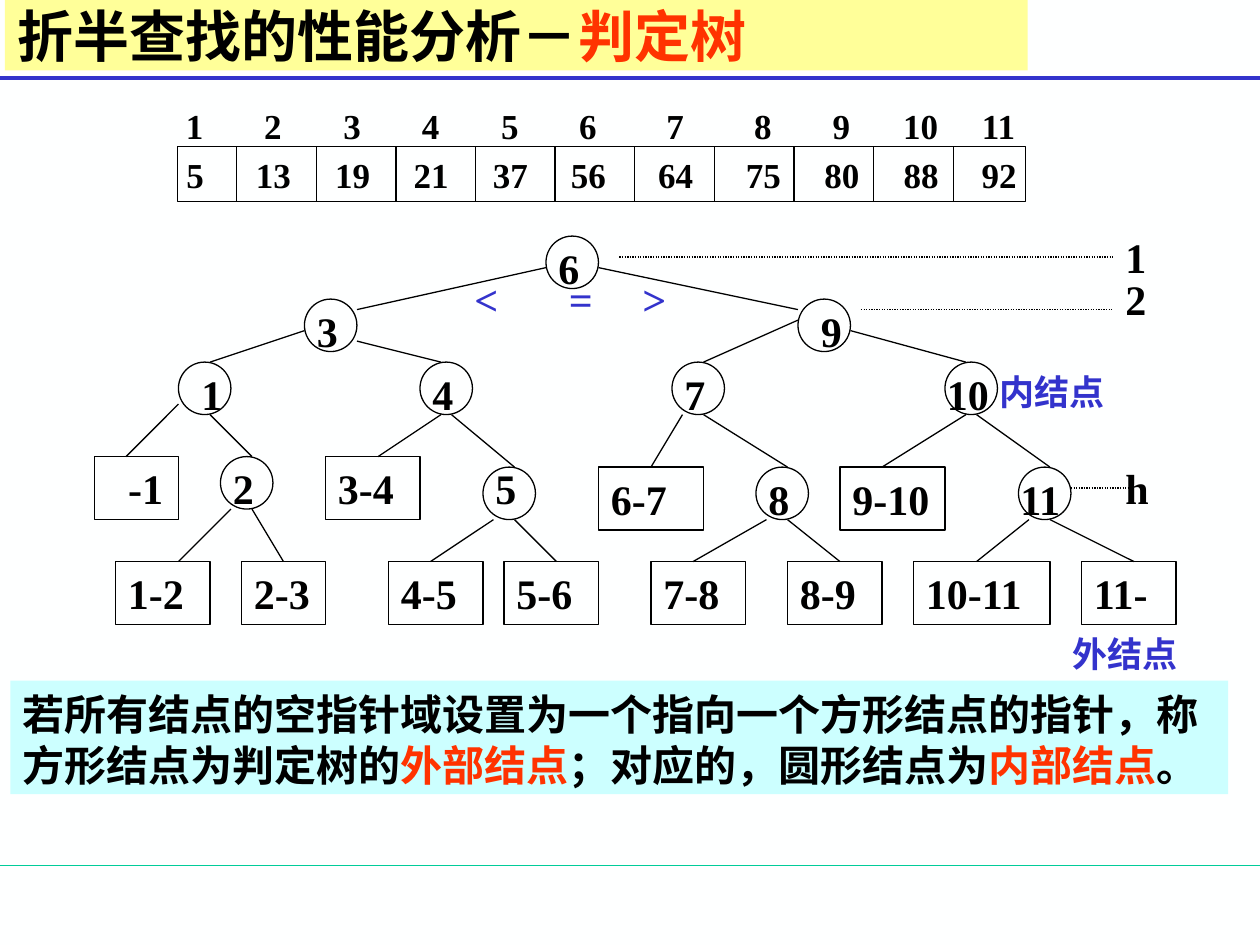
from lxml.etree import SubElement
from pptx import Presentation
from pptx.dml.color import RGBColor
from pptx.enum.dml import MSO_LINE
from pptx.enum.shapes import MSO_CONNECTOR, MSO_SHAPE
from pptx.enum.text import MSO_ANCHOR
from pptx.oxml.ns import qn
from pptx.util import Cm, Pt

BLACK = RGBColor(0x00, 0x00, 0x00)
BLUE = RGBColor(0x33, 0x33, 0xCC)
RED = RGBColor(0xFF, 0x33, 0x00)
GREEN = RGBColor(0x00, 0xCC, 0x99)
YELLOW = RGBColor(0xFF, 0xFF, 0x99)
CYAN = RGBColor(0xCC, 0xFF, 0xFF)
PAPER = RGBColor(0xFE, 0xFF, 0xFF)
SERIF, SANS = "Times New Roman", "Noto Sans CJK SC"

# The tree sits on a grid of twelfths of an inch below TREE_TOP
UNIT = Cm(2.54 / 12)
TREE_TOP = Cm(4.76)

presentation = Presentation()
presentation.slide_width = Cm(25.4)
presentation.slide_height = Cm(19.05)
slide = presentation.slides.add_slide(presentation.slide_layouts[6])
slide.background.fill.solid()
slide.background.fill.fore_color.rgb = PAPER


def add_line(x1, y1, x2, y2, color=BLACK, width=0.75):
    line = slide.shapes.add_connector(MSO_CONNECTOR.STRAIGHT, x1, y1, x2, y2)
    line.line.color.rgb = color
    line.line.width = Pt(width)
    SubElement(line._element.spPr, qn("a:effectLst"))
    return line


def add_box(left, top, width, height, runs=(), size=24, font=SERIF,
            kind=None, fill=None, outline=None, spacing=None):
    """Add a text box, or a preset shape if kind is given; runs are (text, color)."""
    if kind is None:
        shape = slide.shapes.add_textbox(left, top, width, height)
    else:
        shape = slide.shapes.add_shape(kind, left, top, width, height)
        shape.shadow.inherit = False
        if fill is None:
            shape.fill.background()
        else:
            shape.fill.solid()
            shape.fill.fore_color.rgb = fill
        if outline is None:
            shape.line.fill.background()
        else:
            shape.line.color.rgb = outline
            shape.line.width = Pt(0.75)
    frame = shape.text_frame
    frame.word_wrap = True
    frame.vertical_anchor = MSO_ANCHOR.TOP
    paragraph = frame.paragraphs[0]
    paragraph._p.get_or_add_pPr().set("algn", "l")
    if spacing:
        paragraph.line_spacing = Pt(spacing)
    for text, color in runs:
        run = paragraph.add_run()
        run.text = text
        run.font.name = font
        run.font.size = Pt(size)
        run.font.bold = True
        run.font.color.rgb = color
        SubElement(run._r.get_or_add_rPr(), qn("a:ea"), typeface=SANS)
    return shape


# Page rules
add_line(0, Cm(17.45), Cm(25.4), Cm(17.45), GREEN)
add_line(0, Cm(1.57), Cm(25.4), Cm(1.57), BLUE, 2.25)

# Inner nodes: value, circle x, y, label x, y, label width
inner_nodes = [
    ("6", 52, 0, 52, 0, 6), ("3", 29, 6, 29, 6, 6), ("9", 76, 6, 77, 6, 8),
    ("1", 17, 12, 18, 12, 7), ("4", 40, 12, 40, 12, 6), ("7", 64, 12, 64, 12, 6),
    ("10", 90, 12, 89, 12, 8), ("2", 21, 21, 21, 21, 5), ("5", 46, 22, 46, 21, 7),
    ("8", 72, 22, 72, 22, 7), ("11", 97, 22, 96, 22, 7),
]
for value, x, y, label_x, label_y, label_width in inner_nodes:
    add_box(x * UNIT, TREE_TOP + y * UNIT, 5 * UNIT, 5 * UNIT,
            kind=MSO_SHAPE.OVAL, outline=BLACK)
    add_box(label_x * UNIT, TREE_TOP + label_y * UNIT, label_width * UNIT, 6 * UNIT,
            [(value, BLACK)])

# Outer nodes: range, x, y, width
outer_nodes = [
    ("-1", 9, 21, 8), ("3-4", 31, 21, 9), ("6-7", 57, 22, 10), ("9-10", 80, 22, 10),
    ("1-2", 11, 31, 9), ("2-3", 23, 31, 8), ("4-5", 37, 31, 9), ("5-6", 48, 31, 9),
    ("7-8", 62, 31, 9), ("8-9", 75, 31, 9), ("10-11", 87, 31, 13), ("11-", 103, 31, 9),
]
for text, x, y, width in outer_nodes:
    outer_node = add_box(x * UNIT, TREE_TOP + y * UNIT, width * UNIT, 6 * UNIT,
                         [(text, BLACK)], kind=MSO_SHAPE.RECTANGLE, outline=BLACK)
    if text == "-1":
        outer_node.text_frame.margin_left = Cm(0.68)

# Tree edges
edges = [
    (52, 3, 34, 7), (57, 3, 76, 7),
    (29, 9, 20, 12), (34, 10, 42, 12), (76, 8, 67, 12), (81, 9, 92, 12),
    (17, 16, 12, 21), (20, 17, 24, 21), (42, 17, 36, 21), (43, 17, 49, 22),
    (65, 17, 62, 22), (67, 17, 75, 22), (92, 17, 84, 22), (93, 17, 100, 22),
    (22, 26, 17, 31), (24, 26, 27, 31), (47, 27, 41, 31), (49, 27, 53, 31),
    (73, 27, 66, 31), (75, 27, 80, 31), (98, 27, 93, 31), (100, 27, 108, 31),
]
for x1, y1, x2, y2 in edges:
    add_line(x1 * UNIT, TREE_TOP + y1 * UNIT, x2 * UNIT, TREE_TOP + y2 * UNIT)

# Dotted level guides
for x1, x2, y in [(59, 106, 2), (82, 106, 7), (102, 108, 24)]:
    guide = add_line(x1 * UNIT, TREE_TOP + y * UNIT, x2 * UNIT, TREE_TOP + y * UNIT)
    guide.line.dash_style = MSO_LINE.ROUND_DOT

# Level numbers and comparison signs
signs = [
    ("1", 106, -1, 6, BLACK), ("2", 106, 3, 7, BLACK), ("h", 106, 21, 6, BLACK),
    (">", 60, 3, 9, BLUE), ("<", 44, 3, 6, BLUE), ("=", 53, 3, 7, BLUE),
]
for text, x, y, width, color in signs:
    add_box(x * UNIT, TREE_TOP + y * UNIT, width * UNIT, 6 * UNIT, [(text, color)])

# Names of the node kinds
for text, x, y in [("外结点", 101, 37), ("内结点", 94, 12)]:
    add_box(x * UNIT, TREE_TOP + y * UNIT, 13 * UNIT, Cm(1.12),
            [(text, BLUE)], size=20, spacing=25)

# Title
title = add_box(Cm(0.1), 0, Cm(20.62), Cm(1.42),
                [("折半查找的性能分析－", BLACK), ("判定树", RED)],
                size=32, font=SANS, kind=MSO_SHAPE.RECTANGLE, fill=YELLOW)
title.text_frame.vertical_anchor = MSO_ANCHOR.MIDDLE

# Sorted array: indexes above, values in the frame, both on the same centred tabs
indexes = [str(number) for number in range(1, 12)]
values = ["5", "13", "19", "21", "37", "56", "64", "75", "80", "88", "92"]
index_row = add_box(Cm(3.5), Cm(1.98), Cm(17.3), Cm(1.12),
                    [("\t".join(indexes), BLACK)], size=20)
value_row = add_box(Cm(3.58), Cm(2.95), Cm(17.1), Cm(1.12),
                    [("\t".join(values), BLACK)], size=20,
                    kind=MSO_SHAPE.RECTANGLE, outline=BLACK)
value_row.text_frame.vertical_anchor = MSO_ANCHOR.MIDDLE
value_row.text_frame.margin_left = Cm(0.18)
tab_stops = [1.75, 3.35, 4.93, 6.53, 8.1, 9.86, 11.63, 13.21, 14.81, 16.38]
for row in (index_row, value_row):
    row.text_frame.margin_right = 0
    properties = row.text_frame.paragraphs[0]._p.get_or_add_pPr()
    tab_list = SubElement(properties, qn("a:tabLst"))
    for stop in tab_stops:
        SubElement(tab_list, qn("a:tab"), pos=str(Cm(stop)), algn="ctr")
for column in range(10):
    x = Cm(4.77 + 1.605 * column)
    add_line(x, Cm(2.95), x, Cm(4.07))

# Explanation
add_box(Cm(0.21), Cm(13.72), Cm(24.55), Cm(2.29), [
    ("若所有结点的空指针域设置为一个指向一个方形结点的指针，称方形结点为判定树的", BLACK),
    ("外部结点", RED), ("；对应的，圆形结点为", BLACK),
    ("内部结点", RED), ("。", BLACK),
], font=SANS, kind=MSO_SHAPE.RECTANGLE, fill=CYAN, spacing=29.5)

presentation.save("out.pptx")
